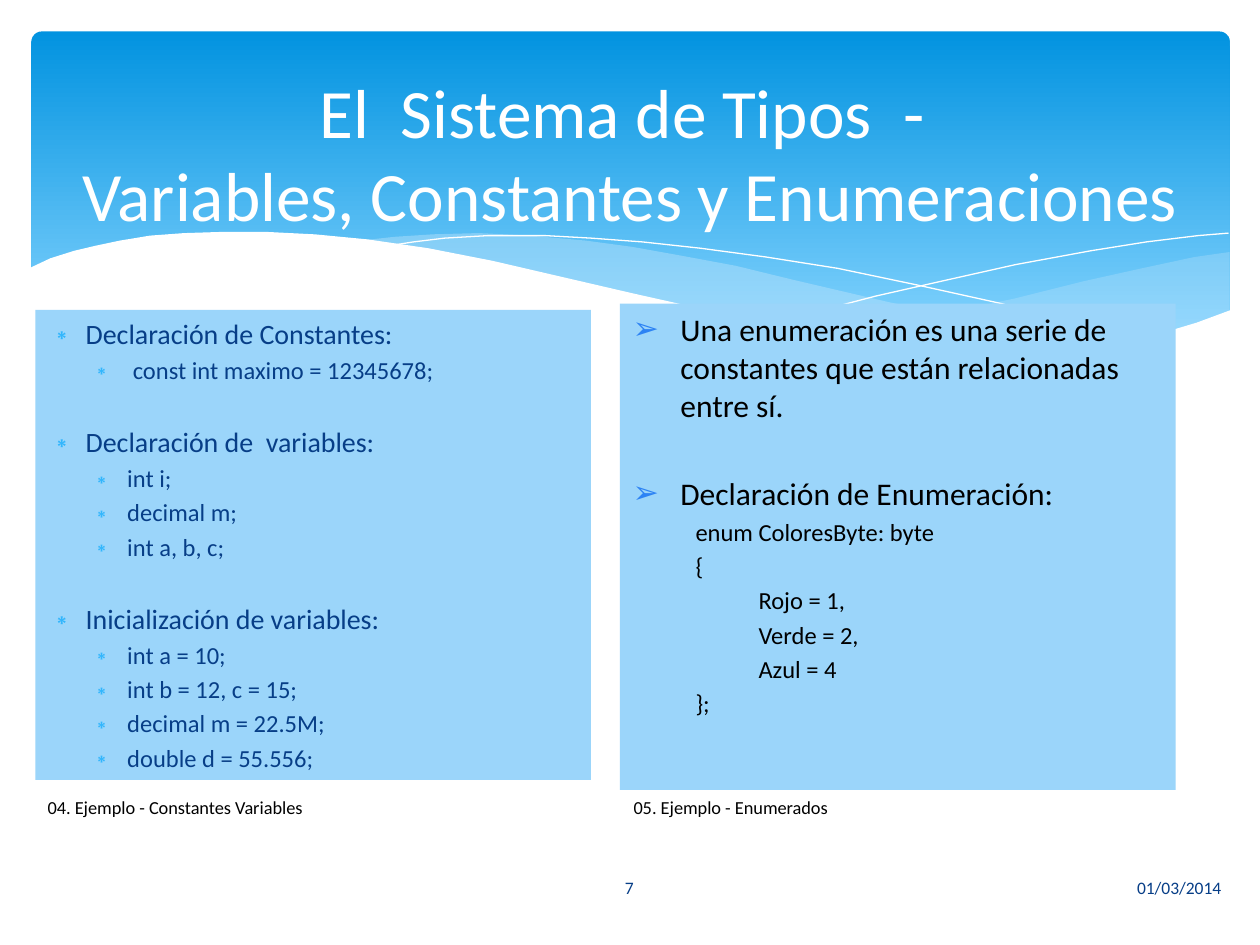
import pptx
import pptx.util
import pptx.dml.color
import pptx.enum.shapes
import pptx.enum.text
import pptx.oxml
import pptx.oxml.ns
import lxml.etree

COLORS = {
    "sky": "0293E0", "pale_sky": "83D3FE", "wave": "C6E7FC", "white": "FFFFFF",
    "panel": "9BD5FA", "navy": "073E87", "black": "000000",
    "asterisk": "31B6FD", "arrow": "2D83F4",
}
RGB = {name: pptx.dml.color.RGBColor.from_string(value) for name, value in COLORS.items()}
ALIGN = pptx.enum.text.PP_ALIGN

presentation = pptx.Presentation()
presentation.slide_width = pptx.util.Inches(10)
presentation.slide_height = pptx.util.Inches(7.5)
column = presentation.slide_width / 10
row = presentation.slide_height / 7.5
slide = presentation.slides.add_slide(presentation.slide_layouts[3])
title, left_panel, right_panel = slide.placeholders


def grid(left, top, width, height):
    return round(left * column), round(top * row), round(width * column), round(height * row)


def write(paragraph, text, size, color):
    run = paragraph.add_run()
    run.text = text
    run.font.name = "Calibri"
    run.font.size = pptx.util.Pt(size)
    run.font.color.rgb = RGB[color]


banner = slide.shapes.add_shape(
    pptx.enum.shapes.MSO_SHAPE.ROUNDED_RECTANGLE, *grid(0.25, 0.25, 9.51, 2.7))
banner.adjustments[0] = 0.03
banner.shadow.inherit = False
banner.line.fill.background()
banner.fill.gradient()
banner.fill.gradient_angle = 270
for stop, (position, color) in zip(banner.fill.gradient_stops, [(0, "sky"), (0.9, "pale_sky")]):
    stop.position = position
    stop.color.rgb = RGB[color]

waves = [
    ("wave", 29, [
        (9.76, 2), (9.48, 2.04), (9.06, 2.13), (8.61, 2.23), (8.05, 2.37), (7.53, 2.48),
        (7.06, 2.57), (6.61, 2.65), (6.91, 2.69), (7.32, 2.74), (7.69, 2.77), (8.14, 2.78),
        (8.54, 2.76), (8.89, 2.72), (9.21, 2.65), (9.49, 2.57), (9.76, 2.47)]),
    ("wave", 40, [
        (8.93, 2.73), (8.37, 2.65), (7.75, 2.54), (7.06, 2.4), (6.29, 2.22), (5.84, 2.11),
        (5.41, 2.03), (5.02, 1.96), (4.65, 1.91), (4.2, 1.87), (3.8, 1.85), (3.44, 1.86),
        (3.13, 1.88), (2.86, 1.91), (3.23, 1.96), (3.62, 2.03), (4.04, 2.11), (4.49, 2.22),
        (5.3, 2.4), (6.01, 2.55), (6.65, 2.66), (7.22, 2.74), (7.73, 2.77), (8.18, 2.78),
        (8.57, 2.77), (8.93, 2.73)]),
    ("line", 100, [
        (3.09, 1.95), (3.28, 1.92), (3.53, 1.89), (3.87, 1.87), (4.33, 1.87), (4.69, 1.89),
        (5.1, 1.92), (5.56, 1.97), (6.08, 2.04), (6.65, 2.13), (7.27, 2.26), (7.95, 2.41),
        (8.69, 2.61), (9.07, 2.72)]),
    ("line", 100, [
        (6.13, 2.57), (6.53, 2.46), (6.95, 2.35), (7.48, 2.23), (8.06, 2.1), (8.66, 1.99),
        (9.1, 1.92), (9.51, 1.87), (9.75, 1.85)]),
    ("white", 100, [
        (9.77, 2.46), (9.5, 2.56), (9.2, 2.65), (8.87, 2.71), (8.5, 2.75), (8.09, 2.77),
        (7.61, 2.75), (7.08, 2.7), (6.48, 2.62), (5.79, 2.5), (5.03, 2.33), (4.47, 2.2),
        (3.91, 2.07), (3.4, 1.97), (2.92, 1.9), (2.5, 1.86), (2.11, 1.84), (1.77, 1.84),
        (1.46, 1.85), (1.19, 1.87), (0.95, 1.91), (0.76, 1.95), (0.59, 1.99), (0.4, 2.05),
        (0.23, 2.13), (0.23, 3.29), (9.77, 3.29)]),
]
for kind, opacity, points in waves:
    start, *vertices = [(round(x * column), round(y * row)) for x, y in points]
    builder = slide.shapes.build_freeform(*start)
    builder.add_line_segments(vertices, close=kind != "line")
    wave = builder.convert_to_shape()
    wave.shadow.inherit = False
    if kind == "line":
        wave.fill.background()
        wave.line.color.rgb = RGB["white"]
        wave.line.width = pptx.util.Pt(0)
        continue
    wave.line.fill.background()
    wave.fill.solid()
    wave.fill.fore_color.rgb = RGB[kind]
    if opacity < 100:
        color_element = wave.element.spPr.find(".//" + pptx.oxml.ns.qn("a:srgbClr"))
        lxml.etree.SubElement(
            color_element, pptx.oxml.ns.qn("a:alpha"), val=str(opacity * 1000))

for placeholder in (left_panel, title, right_panel):
    placeholder.element.getparent().append(placeholder.element)

title.left, title.top, title.width, title.height = grid(0.5, 0.52, 9, 1.37)
title.text_frame.auto_size = pptx.enum.text.MSO_AUTO_SIZE.NONE
title.text_frame.vertical_anchor = pptx.enum.text.MSO_ANCHOR.MIDDLE
heading = title.text_frame.paragraphs[0]
heading.alignment = ALIGN.CENTER
write(heading, "El  Sistema de Tipos  - ", 39.6, "white")
heading.add_line_break()
write(heading, "Variables, Constantes y Enumeraciones", 39.6, "white")

left_lines = [
    (0, "Declaración de Constantes:"),
    (1, " const int maximo = 12345678;"),
    (0, "Declaración de  variables:"),
    (1, "int i;"),
    (1, "decimal m;"),
    (1, "int a, b, c;"),
    (0, "Inicialización de variables:"),
    (1, "int a = 10;"),
    (1, "int b = 12, c = 15;"),
    (1, "decimal m = 22.5M;"),
    (1, "double d = 55.556;"),
]
right_lines = [
    (0, "Una enumeración es una serie de constantes que están relacionadas entre sí."),
    (0, "Declaración de Enumeración:"),
    (1, "enum ColoresByte: byte"),
    (1, "{"),
    (2, "Rojo = 1,"),
    (2, "Verde = 2,"),
    (2, "Azul = 4"),
    (1, "};"),
]
panels = [
    (left_panel, (0.28, 2.46, 4.41, 3.73), left_lines, "navy", 16, 23,
     [(0.3, -0.3, "∗"), (0.63, -0.3, "∗")], "asterisk"),
    (right_panel, (4.92, 2.41, 4.41, 3.86), right_lines, "black", 18, 29,
     [(0.38, -0.38, "➢"), (0.5, 0, None), (1, 0, None)], "arrow"),
]
for panel, box, lines, color, heading_size, heading_gap, levels, bullet_color in panels:
    panel.left, panel.top, panel.width, panel.height = grid(*box)
    panel.fill.solid()
    panel.fill.fore_color.rgb = RGB["panel"]
    frame = panel.text_frame
    frame.auto_size = pptx.enum.text.MSO_AUTO_SIZE.NONE
    for index, (level, text) in enumerate(lines):
        paragraph = frame.add_paragraph() if index else frame.paragraphs[0]
        size = 14 if level else heading_size
        gap = heading_gap if index and not level else size * 0.2
        margin, indent, bullet = levels[level]
        paragraph.level = level
        paragraph.space_before = pptx.util.Pt(gap)
        write(paragraph, text, size, color)
        properties = paragraph._p.get_or_add_pPr()
        properties.set("marL", str(round(margin * column)))
        properties.set("indent", str(round(indent * column)))
        if bullet:
            bullet_fill = lxml.etree.SubElement(properties, pptx.oxml.ns.qn("a:buClr"))
            lxml.etree.SubElement(
                bullet_fill, pptx.oxml.ns.qn("a:srgbClr"), val=COLORS[bullet_color])
            lxml.etree.SubElement(properties, pptx.oxml.ns.qn("a:buChar"), char=bullet)
        else:
            lxml.etree.SubElement(properties, pptx.oxml.ns.qn("a:buNone"))

labels = [
    ("01/03/2014", (5.65, 6.84, 4.14, 0.4), 10, "navy", ALIGN.RIGHT, True),
    ("7", (4.36, 6.84, 1.27, 0.4), 10, "navy", ALIGN.CENTER, True),
    ("04. Ejemplo - Constantes Variables", (0.28, 6.27, 2.27, 0.28), 10.5, "black", ALIGN.LEFT, False),
    ("05. Ejemplo - Enumerados", (4.93, 6.27, 1.77, 0.28), 10.5, "black", ALIGN.LEFT, False),
]
for text, box, size, color, alignment, wraps in labels:
    label = slide.shapes.add_textbox(*grid(*box))
    label.text_frame.word_wrap = wraps
    if wraps:
        label.text_frame.vertical_anchor = pptx.enum.text.MSO_ANCHOR.MIDDLE
    else:
        label.text_frame.auto_size = pptx.enum.text.MSO_AUTO_SIZE.SHAPE_TO_FIT_TEXT
    paragraph = label.text_frame.paragraphs[0]
    paragraph.alignment = alignment
    write(paragraph, text, size, color)

presentation.save("out.pptx")
